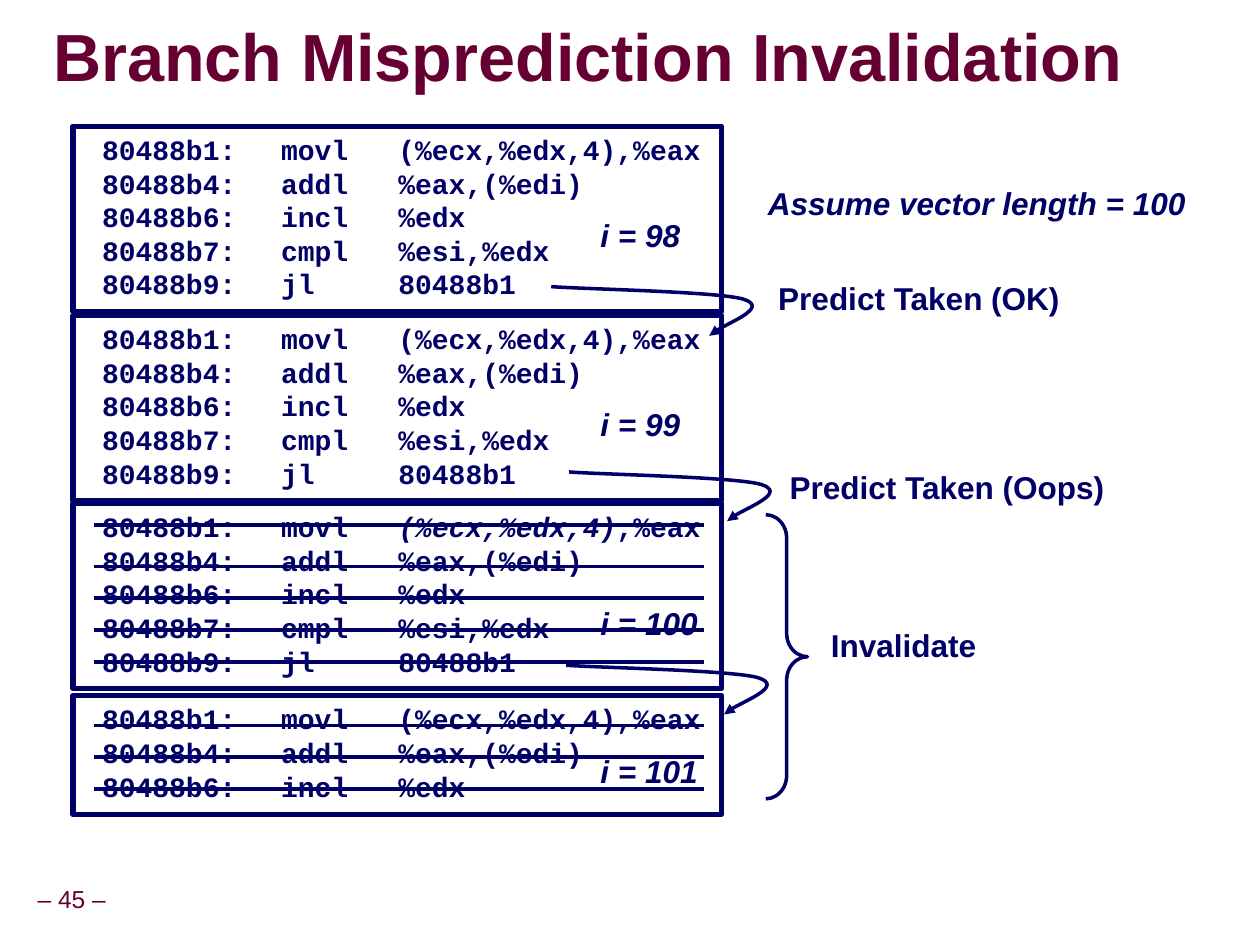
from pptx import Presentation
from pptx.dml.color import RGBColor
from pptx.enum.shapes import MSO_CONNECTOR as Conn, MSO_SHAPE as Kind
from pptx.enum.text import MSO_ANCHOR as Anchor, MSO_AUTO_SIZE as Fit, PP_ALIGN as Align
from pptx.oxml import parse_xml
from pptx.oxml.ns import nsdecls, qn
from pptx.util import Cm, Pt
from lxml.etree import SubElement as Sub

NAVY, WINE = "000066", "660033"


def paint(fill, tone):
    fill.solid()
    fill.fore_color.rgb = RGBColor.from_string(tone)


def write(para, text, size, tone=NAVY, face="Arial", bold=True, slant=False):
    run = para.add_run()
    run.text = text
    font = run.font
    font.size, font.name, font.bold, font.italic = Pt(size), face, bold, slant
    paint(font.fill, tone)
    return run


deck = Presentation()
deck.slide_width, deck.slide_height = Cm(25.37), Cm(19.02)
slide = deck.slides.add_slide(deck.slide_layouts[5])
shapes = slide.shapes

title = shapes.title
title.left, title.top, title.width, title.height = Cm(1.07), Cm(0.43), Cm(22.05), Cm(1.6)
frame = title.text_frame
frame.margin_left = frame.margin_right = frame.margin_top = frame.margin_bottom = 0
frame.vertical_anchor = Anchor.MIDDLE
frame.auto_size = Fit.NONE
frame.word_wrap = True
para = frame.paragraphs[0]
para.alignment = Align.LEFT
para.line_spacing = 0.87
run = write(para, "Branch Misprediction Invalidation", 38, WINE)
run._r.rPr.find(qn("a:solidFill")).addnext(parse_xml(
    f'<a:effectLst {nsdecls("a")}><a:outerShdw blurRad="38100" dist="38100" dir="2700000">'
    '<a:srgbClr val="C0C0C0"/></a:outerShdw></a:effectLst>'))

code = [
    " 80488b1:\tmovl   (%ecx,%edx,4),%eax",
    " 80488b4:\taddl   %eax,(%edi)",
    " 80488b6:\tincl   %edx",
    " 80488b7:\tcmpl   %esi,%edx",
    " 80488b9:\tjl     80488b1",
]
operand = "(%ecx,%edx,4)"
for top, high, count, slant in [(2.54, 3.73, 5, False), (6.35, 3.73, 5, False),
                                (10.13, 3.73, 5, True), (14, 2.39, 3, False)]:
    box = shapes.add_shape(Kind.RECTANGLE, Cm(1.47), Cm(top), Cm(13.06), Cm(high))
    box.shadow.inherit = False
    box.fill.background()
    paint(box.line.fill, NAVY)
    box.line.width = Pt(3)
    frame = box.text_frame
    frame.vertical_anchor = Anchor.TOP
    frame.word_wrap = True
    for row, text in enumerate(code[:count]):
        para = frame.add_paragraph() if row else frame.paragraphs[0]
        para.alignment = Align.LEFT
        tabs = Sub(para._p.get_or_add_pPr(), qn("a:tabLst"))
        for stop in (1.88, 3.94, 9.91, 12.88):
            Sub(tabs, qn("a:tab"), pos=str(Cm(stop)), algn="l")
        if slant and operand in text:
            head, tail = text.split(operand)
            write(para, head, 16, face="Courier New")
            write(para, operand, 16, face="Courier New", slant=True)
            write(para, tail, 16, face="Courier New")
        else:
            write(para, text, 16, face="Courier New")

bends = [(0.65, 0.05), (3.35, 0.1), (3.86, 0.25), (4.39, 0.41), (3.3, 0.84), (3.18, 0.99)]
for x, y in [(11.1, 5.77), (11.46, 9.5), (11.4, 13.39)]:
    pen = shapes.build_freeform(Cm(x), Cm(y))
    pen.add_line_segments([(Cm(x + dx), Cm(y + dy)) for dx, dy in bends], close=False)
    jump = pen.convert_to_shape()
    jump.shadow.inherit = False
    jump.fill.background()
    paint(jump.line.fill, NAVY)
    jump.line.width = Pt(2)
    Sub(jump._element.spPr.find(qn("a:ln")), qn("a:tailEnd"), type="triangle")
    legs = list(jump._element.iter(qn("a:lnTo")))
    trace = legs[0].getparent()
    for first in range(0, len(legs), 3):
        curve = Sub(trace, qn("a:cubicBezTo"))
        for leg in legs[first:first + 3]:
            curve.append(leg[0])
            trace.remove(leg)

for text, x, y, wide, slant in [
    ("i = 98", 11.84, 4.22, 2.26, True),
    ("i = 99", 11.84, 8.03, 2.26, True),
    ("i = 100", 11.84, 12.04, 2.62, True),
    ("i = 101", 11.84, 15.01, 2.62, True),
    ("Assume vector length = 100", 15.21, 3.58, 9.14, True),
    ("Predict Taken (OK)", 15.42, 5.49, 6.22, False),
    ("Predict Taken (Oops)", 15.65, 9.3, 6.88, False),
    ("Invalidate", 16.48, 12.47, 3.48, False),
]:
    label = shapes.add_textbox(Cm(x), Cm(y), Cm(wide), Cm(1.02))
    label.text_frame.word_wrap = True
    write(label.text_frame.paragraphs[0], text, 18, slant=slant)

for y in [10.57] + [11.4 + 0.64 * step for step in (0, 1, 2, 3, 5, 6, 7)]:
    strike = shapes.add_connector(Conn.STRAIGHT, Cm(1.9), Cm(y), Cm(14.17), Cm(y))
    paint(strike.line.fill, NAVY)
    strike.line.width = Pt(2)
    Sub(strike._element.spPr, qn("a:effectLst"))

brace = shapes.add_shape(Kind.RIGHT_BRACE, Cm(15.42), Cm(10.36), Cm(0.84), Cm(5.72))
brace.shadow.inherit = False
brace.adjustments[0] = 0.562
brace.fill.background()
paint(brace.line.fill, NAVY)
brace.line.width = Pt(2)

page = shapes.add_textbox(Cm(0.58), Cm(17.73), Cm(1.73), Cm(0.81))
frame = page.text_frame
frame.margin_left = frame.margin_right = frame.margin_top = frame.margin_bottom = Cm(0.13)
frame.vertical_anchor = Anchor.MIDDLE
frame.word_wrap = False
para = frame.paragraphs[0]
para.alignment = Align.CENTER
para.line_spacing = 0.9
write(para, "– 45 –", 14, WINE, bold=False)

deck.save("out.pptx")
